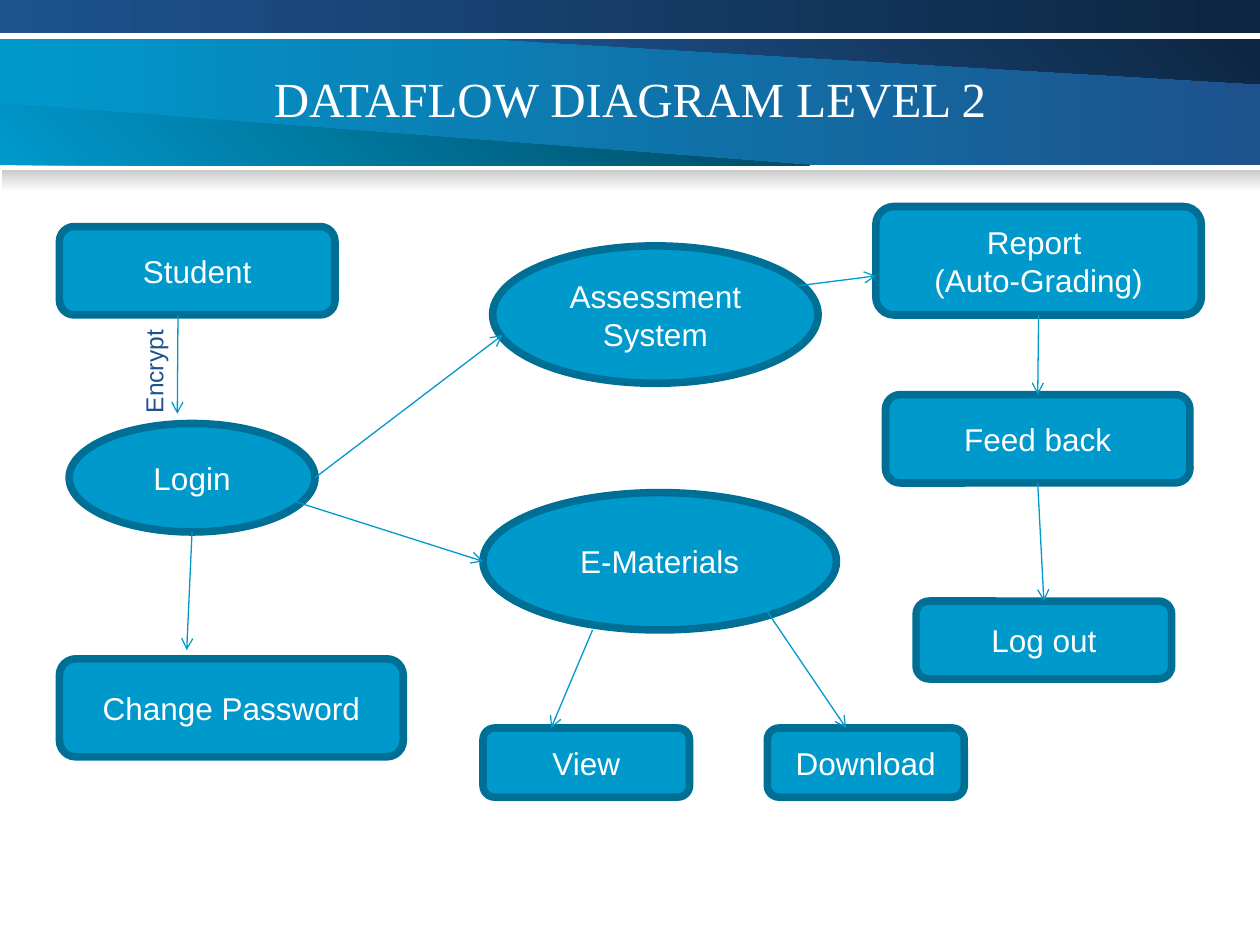
from lxml.etree import SubElement
from pptx import Presentation
from pptx.dml.color import RGBColor
from pptx.enum.shapes import MSO_CONNECTOR, MSO_SHAPE
from pptx.enum.text import MSO_ANCHOR, PP_ALIGN
from pptx.oxml.ns import qn
from pptx.util import Pt

WHITE = RGBColor(0xFF, 0xFF, 0xFF)
SKY = RGBColor(0x00, 0x99, 0xCC)
TEAL = RGBColor(0x00, 0x6F, 0x95)
DEEP_TEAL = RGBColor(0x00, 0x47, 0x5E)
BLUE = RGBColor(0x1D, 0x52, 0x8D)
NAVY = RGBColor(0x0D, 0x26, 0x41)
GREY = RGBColor(0xCA, 0xCA, 0xCA)

BOX = MSO_SHAPE.ROUNDED_RECTANGLE
OVAL = MSO_SHAPE.OVAL

NODES = {
    "Student": (BOX, 0, 11.5, 157.5, 50.5),
    "Login": (OVAL, 5.5, 124, 140.5, 62),
    "Change Password": (BOX, 0, 258.5, 196.5, 56),
    "Assessment System": (OVAL, 247.5, 22.5, 186, 78.5),
    "E-Materials": (OVAL, 242, 163.5, 202, 78.5),
    "Report \n(Auto-Grading)": (BOX, 466.5, 0, 186, 62),
    "Feed back": (BOX, 472, 107.5, 174, 50.5),
    "Log out": (BOX, 489.5, 225.5, 146, 44.5),
    "View": (BOX, 242, 298, 118, 39.5),
    "Download": (BOX, 404.5, 298, 112.5, 39.5),
}

# Each end is a node with the fraction of its width and height.
FLOWS = [
    (("Student", 0.43, 1), ("Login", 0.44, -0.09)),
    (("Login", 1, 0.5), ("Assessment System", 0.03, 0.65)),
    (("Login", 0.92, 0.72), ("E-Materials", 0, 0.5)),
    (("Login", 0.5, 1), ("Change Password", 0.37, -0.09)),
    (("E-Materials", 0.31, 1), ("View", 0.33, 0)),
    (("E-Materials", 0.8, 0.85), ("Download", 0.4, 0)),
    (("Assessment System", 0.94, 0.29), ("Report \n(Auto-Grading)", 0, 0.64)),
    (("Report \n(Auto-Grading)", 0.5, 1), ("Feed back", 0.5, 0)),
    (("Feed back", 0.5, 1), ("Log out", 0.5, 0)),
]


def paint_gradient(shape, start, end, angle):
    shape.shadow.inherit = False
    shape.line.fill.background()
    shape.fill.gradient()
    shape.fill.gradient_angle = angle
    for stop, color, position in zip(shape.fill.gradient_stops, (start, end), (0, 1)):
        stop.color.rgb = color
        stop.position = position


def add_band(slide, left, top, width, height, start, end, angle):
    band = slide.shapes.add_shape(
        MSO_SHAPE.RECTANGLE, Pt(left), Pt(top), Pt(width), Pt(height))
    paint_gradient(band, start, end, angle)


def add_wedge(slide, left, top, points, start, end):
    corners = [(Pt(left + x), Pt(top + y)) for x, y in points]
    builder = slide.shapes.build_freeform(*corners[0])
    builder.add_line_segments(corners[1:])
    paint_gradient(builder.convert_to_shape(), start, end, 45)


def add_header(slide, left, top, width):
    banner_top, banner_height = top + 22.5, 72
    add_band(slide, left, banner_top, width, banner_height, SKY, BLUE, 0)
    add_wedge(slide, left, banner_top,
              [(283, 0), (width, 0), (width, 25.5)], BLUE, NAVY)
    add_wedge(slide, left, banner_top,
              [(0, 36.5), (463, banner_height), (0, banner_height)], SKY, DEEP_TEAL)
    add_band(slide, left, top, width, 19, BLUE, NAVY, 0)
    add_band(slide, left + 1, top + 97, width - 1, 12.5, GREY, WHITE, 270)

    title = slide.shapes.title
    title.element.getparent().append(title.element)
    title.left, title.top = Pt(left), Pt(top + 21.5)
    title.width, title.height = Pt(width), Pt(68.5)
    frame = title.text_frame
    frame.text = "DATAFLOW DIAGRAM LEVEL 2"
    frame.vertical_anchor = MSO_ANCHOR.MIDDLE
    format_paragraph(frame.paragraphs[0], 28, WHITE, "Times New Roman")


def format_paragraph(paragraph, size, color, font_name="Arial", alignment=PP_ALIGN.CENTER):
    paragraph.alignment = alignment
    paragraph.font.name = font_name
    paragraph.font.size = Pt(size)
    paragraph.font.color.rgb = color


def add_node(slide, text, kind, left, top, width, height):
    node = slide.shapes.add_shape(kind, Pt(left), Pt(top), Pt(width), Pt(height))
    node.shadow.inherit = False
    node.fill.solid()
    node.fill.fore_color.rgb = SKY
    node.line.color.rgb = TEAL
    node.line.width = Pt(4.34)
    frame = node.text_frame
    frame.text = text
    frame.word_wrap = True
    frame.vertical_anchor = MSO_ANCHOR.MIDDLE
    for paragraph in frame.paragraphs:
        format_paragraph(paragraph, 18, WHITE)


def add_arrow(slide, start, end):
    arrow = slide.shapes.add_connector(
        MSO_CONNECTOR.STRAIGHT, *(Pt(value) for value in (*start, *end)))
    arrow.line.color.rgb = SKY
    arrow.line.width = Pt(0.75)
    SubElement(arrow.line._get_or_add_ln(), qn("a:tailEnd"), type="arrow")
    SubElement(arrow.element.spPr, qn("a:effectLst"))


def add_diagram(slide, left, top):
    def locate(name, across, down):
        _, x, y, width, height = NODES[name]
        return left + x + across * width, top + y + down * height

    for text, (kind, x, y, width, height) in NODES.items():
        add_node(slide, text, kind, left + x, top + y, width, height)
    for start, end in FLOWS:
        add_arrow(slide, locate(*start), locate(*end))

    label = slide.shapes.add_textbox(Pt(left + 23), Pt(top + 82), Pt(62), Pt(24.5))
    label.rotation = 270
    label.text_frame.word_wrap = False
    label.text_frame.text = "Encrypt"
    format_paragraph(label.text_frame.paragraphs[0], 14, BLUE, alignment=PP_ALIGN.LEFT)


def main():
    presentation = Presentation()
    presentation.slide_width, presentation.slide_height = Pt(720), Pt(540)
    slide = presentation.slides.add_slide(presentation.slide_layouts[5])
    add_header(slide, 0, 0, 720)
    add_diagram(slide, 34, 118)
    presentation.save("out.pptx")


if __name__ == "__main__":
    main()
